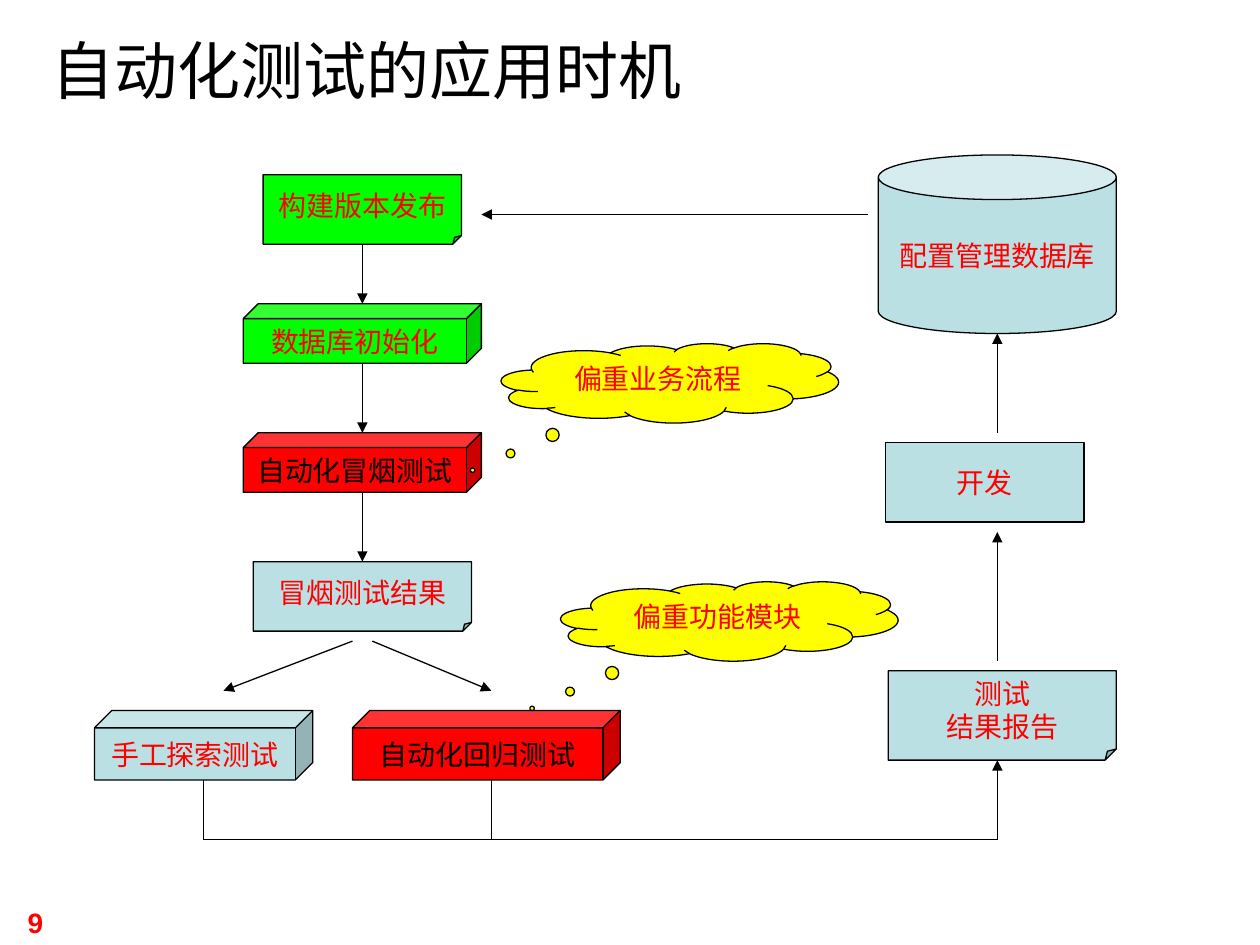
from dataclasses import dataclass

from lxml.etree import SubElement
from pptx import Presentation
from pptx.dml.color import RGBColor
from pptx.enum.shapes import MSO_CONNECTOR, MSO_SHAPE as Shape
from pptx.enum.text import MSO_ANCHOR as Anchor, PP_ALIGN as Align
from pptx.oxml.ns import qn
from pptx.util import Inches, Pt


@dataclass(frozen=True)
class Theme:
    """Colours, fonts and type sizes of the slide."""
    black: str = "000000"
    red: str = "FF0000"
    green: str = "00FF00"
    yellow: str = "FFFF00"
    pale: str = "BBE0E3"
    title_font: str = "Roboto Condensed"
    body_font: str = "Arial"
    title_size: int = 36
    body_size: int = 16
    line_width: float = 0.74


@dataclass(frozen=True)
class Grid:
    """A box of square 2 mm cells, with its corner in inches."""
    left: float
    top: float
    cell: float = 2 / 25.4

    def point(self, col, row):
        return Inches(self.left + col * self.cell), Inches(self.top + row * self.cell)

    def size(self, cols, rows):
        return Inches(cols * self.cell), Inches(rows * self.cell)

    def sub(self, col, row):
        return Grid(self.left + col * self.cell, self.top + row * self.cell, self.cell)


T = Theme()
WIDTH, HEIGHT = 10, 7.5


def rgb(value):
    """Turn a hex string into a colour."""
    return RGBColor.from_string(value)


def write(tf, text, color, size=T.body_size, font=T.body_font, align=Align.CENTER, bold=False):
    """Fill a text frame, one paragraph for each line."""
    for i, line in enumerate(text.split("\n")):
        p = tf.paragraphs[0] if i == 0 else tf.add_paragraph()
        p.text, p.alignment = line, align
        p.font.size, p.font.name, p.font.bold = Pt(size), font, bold
        p.font.color.rgb = rgb(color)


def label(shapes, box, text, anchor, **style):
    """Place a text box; the box is given as shares of the slide."""
    x, y, w, h = box
    s = shapes.add_textbox(Inches(x * WIDTH), Inches(y * HEIGHT),
                           Inches(w * WIDTH), Inches(h * HEIGHT))
    tf = s.text_frame
    tf.word_wrap, tf.vertical_anchor = True, anchor
    write(tf, text, align=Align.LEFT, **style)


def node(shapes, grid, kind, cells, text, fill=T.pale, color=T.red):
    """Place one outlined shape with its text at (col, row, cols, rows)."""
    s = shapes.add_shape(kind, *grid.point(*cells[:2]), *grid.size(*cells[2:]))
    s.shadow.inherit = False
    s.fill.solid()
    s.fill.fore_color.rgb = rgb(fill)
    s.line.color.rgb, s.line.width = rgb(T.black), Pt(T.line_width)
    tf = s.text_frame
    tf.word_wrap, tf.vertical_anchor = False, Anchor.MIDDLE
    write(tf, text, color)
    return s


def note(shapes, grid, *args):
    """Place a sheet with a small folded corner."""
    s = node(shapes, grid, Shape.FOLDED_CORNER, *args)
    guides = s._element.spPr.find(qn("a:prstGeom")).get_or_add_avLst()
    for guide in list(guides):
        guides.remove(guide)
    SubElement(guides, qn("a:gd"), name="adj", fmla="val 12500")


def link(shapes, grid, start, end, arrow=True):
    """Draw a straight line between two grid points."""
    c = shapes.add_connector(MSO_CONNECTOR.STRAIGHT, *grid.point(*start), *grid.point(*end))
    c.line.color.rgb, c.line.width = rgb(T.black), Pt(T.line_width)
    if arrow:
        SubElement(c.line._get_or_add_ln(), qn("a:tailEnd"), type="triangle")
    SubElement(c._element.spPr, qn("a:effectLst"))


def test_flow(shapes, grid):
    """Left side: from the released build down to the two kinds of test."""
    step = Shape.CUBE
    note(shapes, grid, (17, 2, 20, 7), "构建版本发布", T.green)
    node(shapes, grid, step, (15, 15, 24, 6), "数据库初始化", T.green)
    node(shapes, grid, step, (15, 28, 24, 6), "自动化冒烟测试", T.red, T.black)
    note(shapes, grid, (16, 41, 22, 7), "冒烟测试结果")
    node(shapes, grid, step, (0, 56, 22, 7), "手工探索测试")
    node(shapes, grid, step, (26, 56, 27, 7), "自动化回归测试", T.red, T.black)
    for top, bottom in ((9, 15), (21, 28), (34, 41)):
        link(shapes, grid, (27, top), (27, bottom))
    for start, end in ((26, 13), (28, 40)):
        link(shapes, grid, (start, 49), (end, 54))


def rework_flow(shapes, grid):
    """Right side: from the report up to the database."""
    node(shapes, grid, Shape.CAN, (1, 0, 24, 18), "配置管理数据库")
    node(shapes, grid, Shape.RECTANGLE, (1.75, 29, 20, 8), "开发")
    note(shapes, grid, (2, 52, 23, 9), "测试\n结果报告")
    for bottom, top in ((51, 38), (28, 18)):
        link(shapes, grid, (13, bottom), (13, top))


def result_path(shapes, grid):
    """Grouped lines that lead from both tests to the report."""
    parts = shapes.add_group_shape().shapes
    for col in (0, 29):
        link(parts, grid, (col, 2), (col, 8), arrow=False)
    link(parts, grid, (0, 8), (80, 8), arrow=False)
    link(parts, grid, (80, 8), (80, 0))


def callout(shapes, grid, text):
    """Thought cloud pointing down and left."""
    s = node(shapes, grid, Shape.CLOUD_CALLOUT, (0, 0, 34, 8), text, T.yellow)
    s.adjustments[0], s.adjustments[1] = -0.585, 1.098
    s.text_frame.word_wrap = True
    s.text_frame.vertical_anchor = Anchor.TOP


def timing_slide(prs):
    """The whole slide: title, number and the test cycle."""
    shapes = prs.slides.add_slide(prs.slide_layouts[6]).shapes
    label(shapes, (0.012, 0.952, 0.068, 0.037), "9", Anchor.TOP, color=T.red, bold=True)
    label(shapes, (0.031, 0.021, 0.854, 0.105), "自动化测试的应用时机", Anchor.MIDDLE,
          color=T.black, size=T.title_size, font=T.title_font)
    cycle = Grid(0.75, 1.23)
    test_flow(shapes, cycle)
    rework_flow(shapes, cycle.sub(78, 0))
    link(shapes, cycle, (78, 6), (39, 6))
    result_path(shapes, cycle.sub(11, 61))
    callout(shapes, cycle.sub(41, 19), "偏重业务流程")
    callout(shapes, cycle.sub(47, 43), "偏重功能模块")


prs = Presentation()
prs.slide_width, prs.slide_height = Inches(WIDTH), Inches(HEIGHT)
timing_slide(prs)
prs.save("out.pptx")
